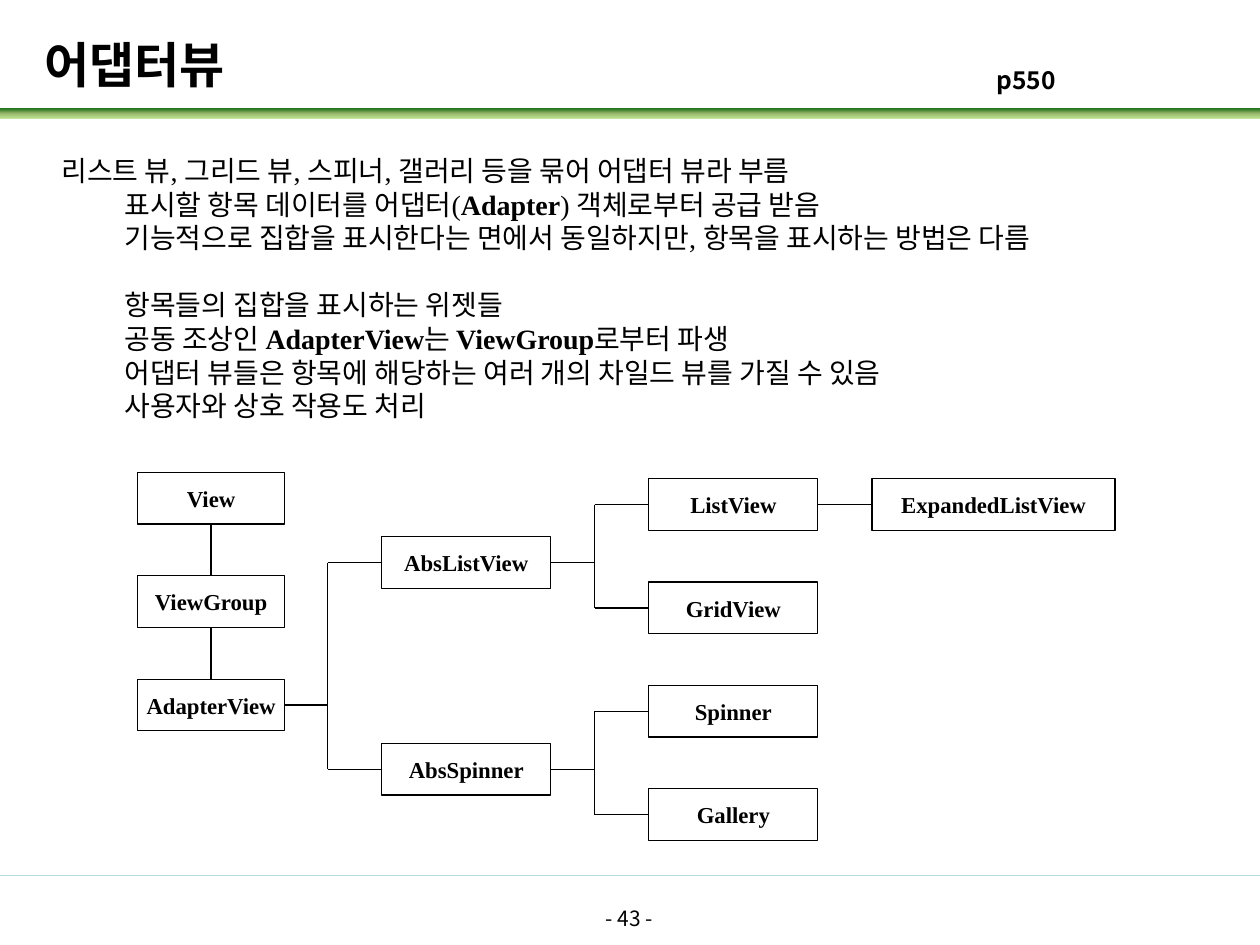
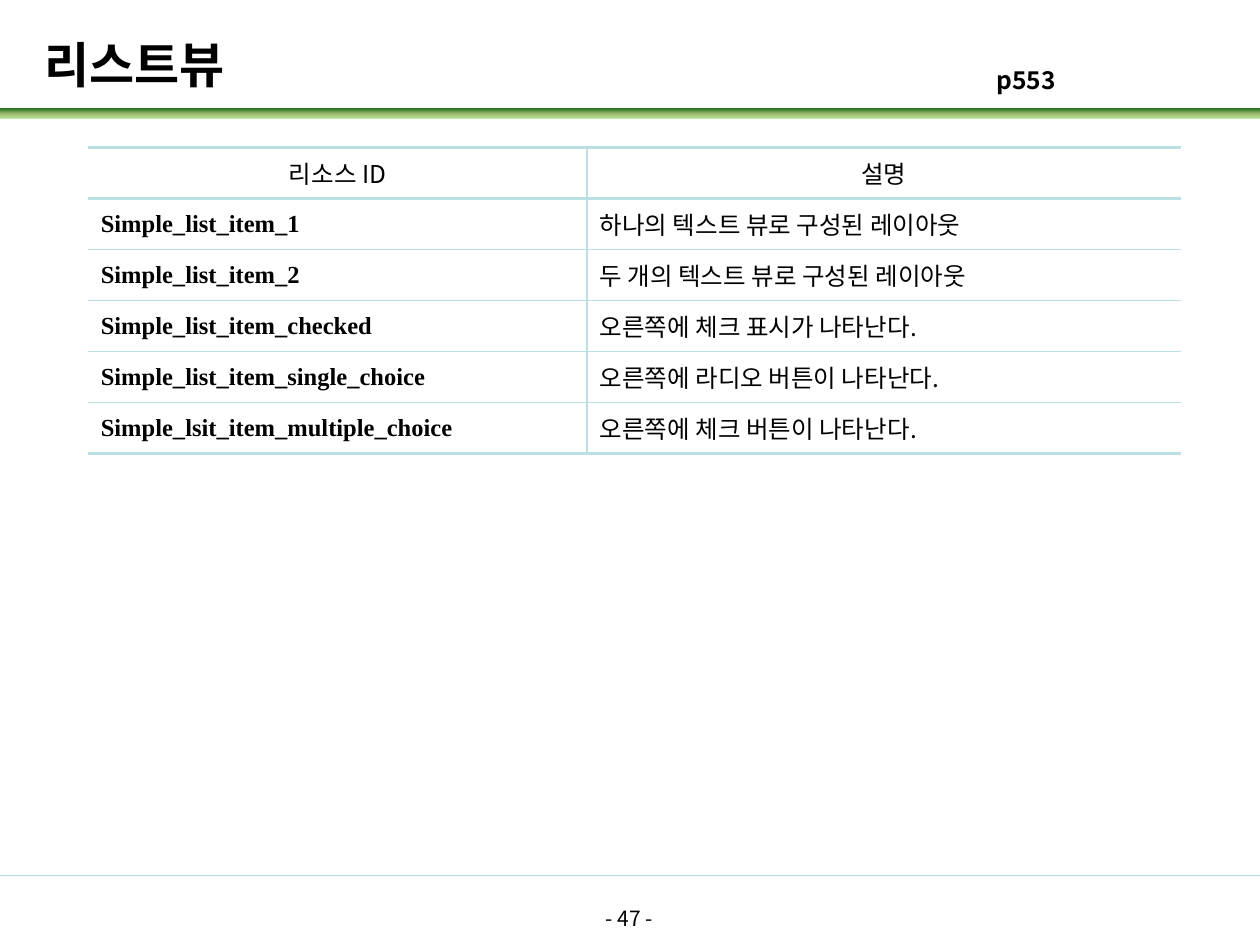
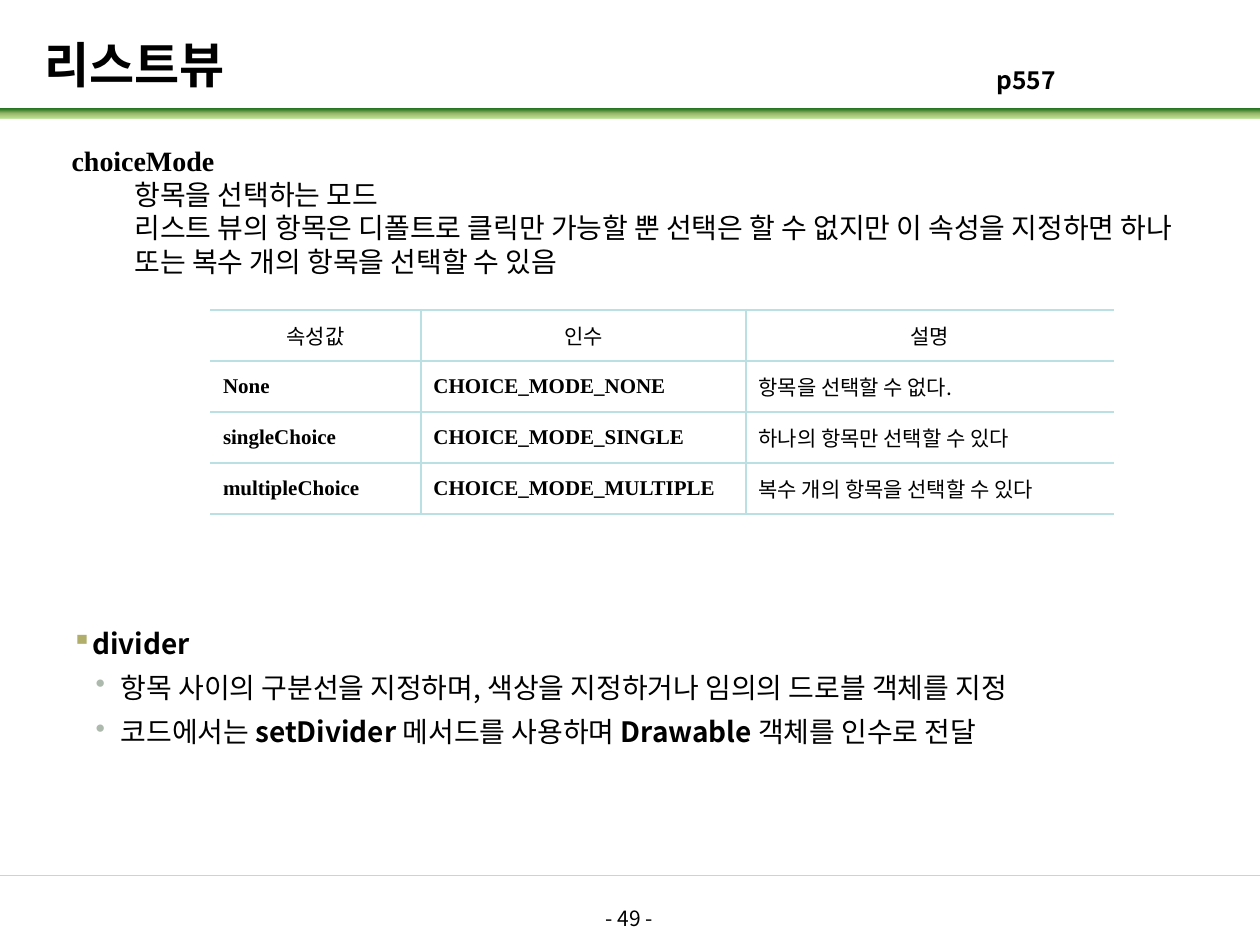
from lxml import etree
from pptx import Presentation
from pptx.dml.color import RGBColor
from pptx.enum.shapes import MSO_CONNECTOR, MSO_SHAPE
from pptx.enum.text import MSO_ANCHOR, PP_ALIGN
from pptx.oxml.ns import qn
from pptx.util import Inches, Pt

LEFT, CENTER = PP_ALIGN.LEFT, PP_ALIGN.CENTER
TOP, MIDDLE = MSO_ANCHOR.TOP, MSO_ANCHOR.MIDDLE
RECTANGLE, STRAIGHT = MSO_SHAPE.RECTANGLE, MSO_CONNECTOR.STRAIGHT

COLORS = {
    "text": "000000", "box": "FFFFFF", "footer": "B6DCDF", "border": "BBE0E3",
    "band_light": "92D050", "band_middle": "9CB86E", "band_dark": "156B13",
    "square": "B1AE6B", "dot": "ADB9AD",
}
SANS, SERIF = "Noto Sans CJK KR", "Times New Roman"

# The slide is a grid of 100 columns by 75 rows
COLUMNS, ROWS = 100, 75
CELL = 0.1
LINE_PITCH = 1.2
PLAIN_TABLE = "{2D5ABB26-0587-4C30-8999-92F81FD0307C}"


def grid(*cells):
    return [Inches(cell * CELL) for cell in cells]


def rgb(name):
    return RGBColor.from_string(COLORS[name])


def add_xml(parent, tag, **attributes):
    return etree.SubElement(parent, qn(tag), attributes)


# Text: parts between asterisks are bold
def write(paragraph, text, size=16, font=SANS, bold=False, align=LEFT, pitch=None,
          before=0, after=0, indent=0, hanging=0, bullet=None):
    paragraph.alignment = align
    if pitch:
        paragraph.line_spacing = Pt(size * pitch)
    paragraph.space_before, paragraph.space_after = Pt(before), Pt(after)
    properties = paragraph._p.get_or_add_pPr()
    properties.set("marL", str(Inches(indent)))
    properties.set("indent", str(-Inches(hanging)))
    if bullet:
        character, color = bullet
        add_xml(add_xml(properties, "a:buClr"), "a:srgbClr", val=COLORS[color])
        add_xml(properties, "a:buChar", char=character)
    for index, part in enumerate(text.split("*")):
        if not part:
            continue
        run = paragraph.add_run()
        run.text = part
        run.font.size = Pt(size)
        run.font.bold = bold or index % 2 == 1
        run.font.color.rgb = rgb("text")
        run.font.name = font
        add_xml(run._r.get_or_add_rPr(), "a:ea", typeface=SANS)


def add_text_box(slide, area, lines, anchor=TOP, side_inset=0.1, **shared):
    """Each line is a (text, own format) pair; shared format applies to all."""
    frame = slide.shapes.add_textbox(*grid(*area)).text_frame
    frame.word_wrap = True
    frame.vertical_anchor = anchor
    frame.margin_left = frame.margin_right = Inches(side_inset)
    for index, (text, own) in enumerate(lines):
        paragraph = frame.add_paragraph() if index else frame.paragraphs[0]
        write(paragraph, text, **{**shared, **own})


def add_line(slide, start, end, color="text"):
    line = slide.shapes.add_connector(STRAIGHT, *grid(*start, *end))
    line.line.color.rgb = rgb(color)
    line.line.width = Pt(0.75)
    add_xml(line._element.spPr, "a:effectLst")


# Shared frame of every slide
def add_band(slide):
    band = slide.shapes.add_shape(RECTANGLE, *grid(0, 8.6, COLUMNS, 0.8))
    band.shadow.inherit = False
    band.line.fill.background()
    band.fill.gradient()
    band.fill.gradient_angle = 90
    stops = band._element.spPr.find(qn("a:gradFill")).find(qn("a:gsLst"))
    for stop in list(stops):
        stops.remove(stop)
    for position, name in ((0, "band_light"), (50, "band_middle"), (100, "band_dark")):
        stop = add_xml(stops, "a:gs", pos=str(position * 1000))
        color = add_xml(stop, "a:srgbClr", val=COLORS[name])
        if name == "band_light":
            add_xml(color, "a:alpha", val="56000")


def add_page(presentation, title, book_page, number):
    slide = presentation.slides.add_slide(presentation.slide_layouts[6])
    add_band(slide)
    add_line(slide, (0, 69.5), (COLUMNS, 69.5), "footer")
    add_text_box(slide, (38.3, 71.4, 23.3, 3.6), [(f"- {number} -", {})],
                 size=12, align=CENTER, pitch=LINE_PITCH)
    add_text_box(slide, (3.5, 2.8, 61.2, 4.5), [(title, {})],
                 anchor=MIDDLE, side_inset=0, size=28, bold=True)
    add_text_box(slide, (78.1, 4.7, 20, 3.4), [(book_page, {})],
                 size=14, bold=True, pitch=LINE_PITCH)
    return slide


# Class tree
def add_class_box(slide, name, area):
    box = slide.shapes.add_shape(RECTANGLE, *grid(*area))
    box.shadow.inherit = False
    box.fill.solid()
    box.fill.fore_color.rgb = rgb("box")
    box.line.color.rgb = rgb("text")
    box.line.width = Pt(0.75)
    box.text_frame.word_wrap = False
    box.text_frame.vertical_anchor = MIDDLE
    write(box.text_frame.paragraphs[0], name, size=13, font=SERIF, bold=True, align=CENTER)


def add_fork(slide, parent, children):
    left, top, width, height = parent
    stem_y = top + height / 2
    trunk_x = children[0][0] - 4.3
    arms = [child[1] + child[3] / 2 for child in children]
    add_line(slide, (left + width, stem_y), (trunk_x, stem_y))
    add_line(slide, (trunk_x, arms[0]), (trunk_x, arms[-1]))
    for child, arm_y in zip(children, arms):
        add_line(slide, (trunk_x, arm_y), (child[0], arm_y))


def add_class_tree(slide):
    height, step = 4.1, 8.2
    # left, first top, width, rows between boxes, names
    levels = [
        (10.9, 37.5, 11.7, 1, ["View", "ViewGroup", "AdapterView"]),
        (30.3, 42.6, 13.4, 2, ["AbsListView", "AbsSpinner"]),
        (51.5, 38, 13.4, 1, ["ListView", "GridView", "Spinner", "Gallery"]),
        (69.2, 38, 19.3, 1, ["ExpandedListView"]),
    ]
    areas = {}
    for left, top, width, rows, names in levels:
        for index, name in enumerate(names):
            areas[name] = (left, top + index * rows * step, width, height)
            add_class_box(slide, name, areas[name])

    for name in ("View", "ViewGroup"):
        left, top, width, _ = areas[name]
        middle = left + width / 2
        add_line(slide, (middle, top + height), (middle, top + step))
    forks = {
        "AdapterView": ("AbsListView", "AbsSpinner"),
        "AbsListView": ("ListView", "GridView"),
        "AbsSpinner": ("Spinner", "Gallery"),
    }
    for parent, children in forks.items():
        add_fork(slide, areas[parent], [areas[child] for child in children])
    left, top, width, _ = areas["ListView"]
    add_line(slide, (left + width, top + height / 2),
             (areas["ExpandedListView"][0], top + height / 2))


# Tables
def set_border(cell, side, width):
    line = add_xml(cell._tc.get_or_add_tcPr(), f"a:ln{side}", w=str(Pt(width)))
    if width:
        add_xml(add_xml(line, "a:solidFill"), "a:srgbClr", val=COLORS["border"])
    else:
        add_xml(line, "a:noFill")


def add_ruled_table(slide, left, top, widths, rows, size, last_rule=1):
    row_height = 4.05
    area = grid(left, top, sum(widths), row_height * len(rows))
    table = slide.shapes.add_table(len(rows), len(widths), *area).table
    table.first_row = table.horz_banding = False
    table._tbl.tblPr.find(qn("a:tableStyleId")).text = PLAIN_TABLE
    for column, width in zip(table.columns, grid(*widths)):
        column.width = width
    last_column = len(widths) - 1
    rules = [1.5, 1.5] + [1] * (len(rows) - 2) + [last_rule]
    for row_index, texts in enumerate(rows):
        table.rows[row_index].height = Inches(row_height * CELL)
        for column_index, text in enumerate(texts):
            cell = table.cell(row_index, column_index)
            set_border(cell, "L", 1 if column_index else 0)
            set_border(cell, "R", 1 if column_index < last_column else 0)
            set_border(cell, "T", rules[row_index])
            set_border(cell, "B", rules[row_index + 1])
            cell.fill.background()
            cell.vertical_anchor = MIDDLE
            code = row_index > 0 and column_index < last_column
            write(cell.text_frame.paragraphs[0], text, size=size, bold=code,
                  font=SERIF if code else SANS, align=LEFT if row_index else CENTER)


# Slides
def build_adapter_view(presentation):
    slide = add_page(presentation, "어댑터뷰", "p550", 43)
    detail = {"indent": 0.5}
    add_text_box(slide, (3.9, 11.7, 92.2, 22.6), [
        ("리스트 뷰, 그리드 뷰, 스피너, 갤러리 등을 묶어 어댑터 뷰라 부름", {}),
        ("표시할 항목 데이터를 어댑터(*Adapter*) 객체로부터 공급 받음", detail),
        ("기능적으로 집합을 표시한다는 면에서 동일하지만, 항목을 표시하는 방법은 다름", detail),
        ("항목들의 집합을 표시하는 위젯들", {"indent": 0.5, "before": 19.2}),
        ("공동 조상인 *AdapterView*는 *ViewGroup*로부터 파생", detail),
        ("어댑터 뷰들은 항목에 해당하는 여러 개의 차일드 뷰를 가질 수 있음", detail),
        ("사용자와 상호 작용도 처리", detail),
    ], font=SERIF, pitch=LINE_PITCH)
    add_class_tree(slide)


def build_list_resources(presentation):
    slide = add_page(presentation, "리스트뷰", "p553", 47)
    add_ruled_table(slide, 7, 11.7, (39.6, 47.1), [
        ("리소스 ID", "설명"),
        ("Simple_list_item_1", "하나의 텍스트 뷰로 구성된 레이아웃"),
        ("Simple_list_item_2", "두 개의 텍스트 뷰로 구성된 레이아웃"),
        ("Simple_list_item_checked", "오른쪽에 체크 표시가 나타난다."),
        ("Simple_list_item_single_choice", "오른쪽에 라디오 버튼이 나타난다."),
        ("Simple_lsit_item_multiple_choice", "오른쪽에 체크 버튼이 나타난다."),
    ], size=14, last_rule=1.5)


def build_choice_mode(presentation):
    slide = add_page(presentation, "리스트뷰", "p557", 49)
    detail = {"indent": 0.5}
    add_text_box(slide, (4.7, 10.9, 92.2, 11.8), [
        ("choiceMode", {"bold": True}),
        ("항목을 선택하는 모드", detail),
        ("리스트 뷰의 항목은 디폴트로 클릭만 가능할 뿐 선택은 할 수 없지만 "
         "이 속성을 지정하면 하나 또는 복수 개의 항목을 선택할 수 있음", detail),
    ], font=SERIF, pitch=LINE_PITCH)
    add_ruled_table(slide, 16.7, 24.6, (16.7, 25.8, 29.2), [
        ("속성값", "인수", "설명"),
        ("None", "CHOICE_MODE_NONE", "항목을 선택할 수 없다."),
        ("singleChoice", "CHOICE_MODE_SINGLE", "하나의 항목만 선택할 수 있다"),
        ("multipleChoice", "CHOICE_MODE_MULTIPLE", "복수 개의 항목을 선택할 수 있다"),
    ], size=12)
    dot = {"indent": 0.39, "hanging": 0.2, "bullet": ("•", "dot")}
    add_text_box(slide, (4.7, 49.2, 89.1, 11.3), [
        ("divider", {"bold": True, "indent": 0.09, "hanging": 0.09,
                     "bullet": ("▪", "square")}),
        ("항목 사이의 구분선을 지정하며, 색상을 지정하거나 임의의 드로블 객체를 지정", dot),
        ("코드에서는 *setDivider *메서드를 사용하며 *Drawable *객체를 인수로 전달", dot),
    ], pitch=LINE_PITCH, before=3.2, after=3)


def main():
    presentation = Presentation()
    presentation.slide_width, presentation.slide_height = grid(COLUMNS, ROWS)
    build_adapter_view(presentation)
    build_list_resources(presentation)
    build_choice_mode(presentation)
    presentation.save("out.pptx")


if __name__ == "__main__":
    main()
